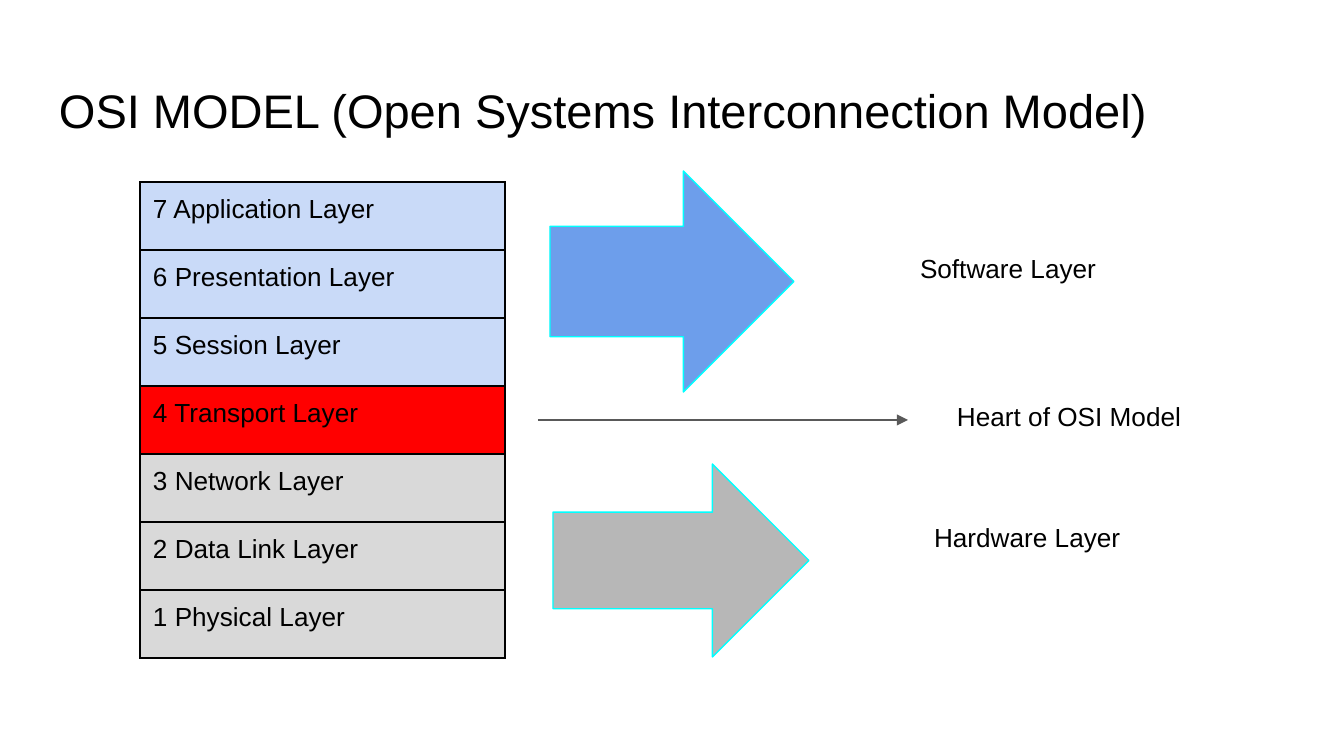
from lxml import etree
from pptx import Presentation
from pptx.dml.color import RGBColor
from pptx.enum.shapes import MSO_CONNECTOR, MSO_SHAPE
from pptx.enum.text import MSO_ANCHOR
from pptx.oxml.ns import qn
from pptx.util import Emu, Pt

RIGHT_ARROW = MSO_SHAPE.RIGHT_ARROW
STRAIGHT = MSO_CONNECTOR.STRAIGHT
TOP, MIDDLE = MSO_ANCHOR.TOP, MSO_ANCHOR.MIDDLE

BLACK = RGBColor(0x00, 0x00, 0x00)
PALE_BLUE = RGBColor(0xC9, 0xDA, 0xF8)
BLUE = RGBColor(0x6D, 0x9E, 0xEB)
RED = RGBColor(0xFF, 0x00, 0x00)
PALE_GRAY = RGBColor(0xD9, 0xD9, 0xD9)
GRAY = RGBColor(0xB7, 0xB7, 0xB7)
DARK_GRAY = RGBColor(0x59, 0x59, 0x59)
CYAN = RGBColor(0x00, 0xFF, 0xFF)

LAYERS = [
    ("7 Application Layer", PALE_BLUE),
    ("6 Presentation Layer", PALE_BLUE),
    ("5 Session Layer", PALE_BLUE),
    ("4 Transport Layer", RED),
    ("3 Network Layer", PALE_GRAY),
    ("2 Data Link Layer", PALE_GRAY),
    ("1 Physical Layer", PALE_GRAY),
]


def px(length):
    """Turn picture pixels into EMU."""
    return Emu(round(length * 914400 / 134.4))


class SlideBuilder:
    """Holds the style and the current slide."""

    font = "Arial"
    body_size = 14
    inset = px(13)
    line_width = Pt(0.75)

    def __init__(self, page):
        """Start drawing on the given page."""
        self.shapes = page.shapes

    def set_text(self, holder, frame, text, size):
        """Put one styled paragraph in a frame and set its holder's margins."""
        holder.margin_left = holder.margin_right = self.inset
        holder.margin_top = holder.margin_bottom = self.inset
        para = frame.paragraphs[0]
        para.text = text
        para.font.name = self.font
        para.font.size = Pt(size)
        para.font.color.rgb = BLACK

    def text(self, left, top, width, height, text, size=body_size, anchor=TOP):
        """Add a wrapping text box."""
        box = self.shapes.add_textbox(px(left), px(top), px(width), px(height))
        frame = box.text_frame
        frame.word_wrap = True
        frame.vertical_anchor = anchor
        self.set_text(frame, frame, text, size)

    def border(self, cell):
        """Draw a black line on every side of a cell."""
        properties = cell._tc.get_or_add_tcPr()
        for index, side in enumerate(("lnL", "lnR", "lnT", "lnB")):
            line = etree.Element(qn("a:" + side), w=str(self.line_width))
            fill = etree.SubElement(line, qn("a:solidFill"))
            etree.SubElement(fill, qn("a:srgbClr"), val=str(BLACK))
            properties.insert(index, line)

    def table(self, left, top, width, row_height, rows):
        """Add a one-column table of (text, fill) rows."""
        frame = self.shapes.add_table(len(rows), 1, px(left), px(top),
                                      px(width), px(row_height * len(rows)))
        table = frame.table
        for index, (text, color) in enumerate(rows):
            table.rows[index].height = px(row_height)
            cell = table.cell(index, 0)
            cell.fill.solid()
            cell.fill.fore_color.rgb = color
            self.set_text(cell, cell.text_frame, text, self.body_size)
            self.border(cell)

    def block_arrow(self, left, top, width, height, color):
        """Add a filled right arrow with a cyan outline."""
        arrow = self.shapes.add_shape(RIGHT_ARROW, px(left), px(top),
                                      px(width), px(height))
        arrow.shadow.inherit = False
        arrow.fill.solid()
        arrow.fill.fore_color.rgb = color
        arrow.line.color.rgb = CYAN
        arrow.line.width = self.line_width

    def thin_arrow(self, left, right, level):
        """Add a horizontal line with a triangle at its right end."""
        arrow = self.shapes.add_connector(STRAIGHT, px(left), px(level),
                                          px(right), px(level))
        arrow.line.color.rgb = DARK_GRAY
        arrow.line.width = self.line_width
        properties = arrow._element.spPr
        line = properties.find(qn("a:ln"))
        etree.SubElement(line, qn("a:tailEnd"), type="triangle")
        etree.SubElement(properties, qn("a:effectLst"))


def main():
    """Build the slide and save it."""
    deck = Presentation()
    deck.slide_width, deck.slide_height = px(1344), px(756)
    builder = SlideBuilder(deck.slides.add_slide(deck.slide_layouts[6]))
    builder.text(46, 67, 1252, 85,
                 "OSI MODEL (Open Systems Interconnection Model)", 25.2, MIDDLE)
    builder.table(140, 182, 365, 68, LAYERS)
    builder.block_arrow(550, 171, 244, 221, BLUE)
    builder.text(907, 239, 333, 59, "Software Layer")
    builder.block_arrow(553, 464, 256, 193, GRAY)
    builder.text(921, 508, 281, 59, "Hardware Layer")
    builder.thin_arrow(538, 908, 420)
    builder.text(944, 387, 297, 59, "Heart of OSI Model")
    deck.save("out.pptx")


main()
